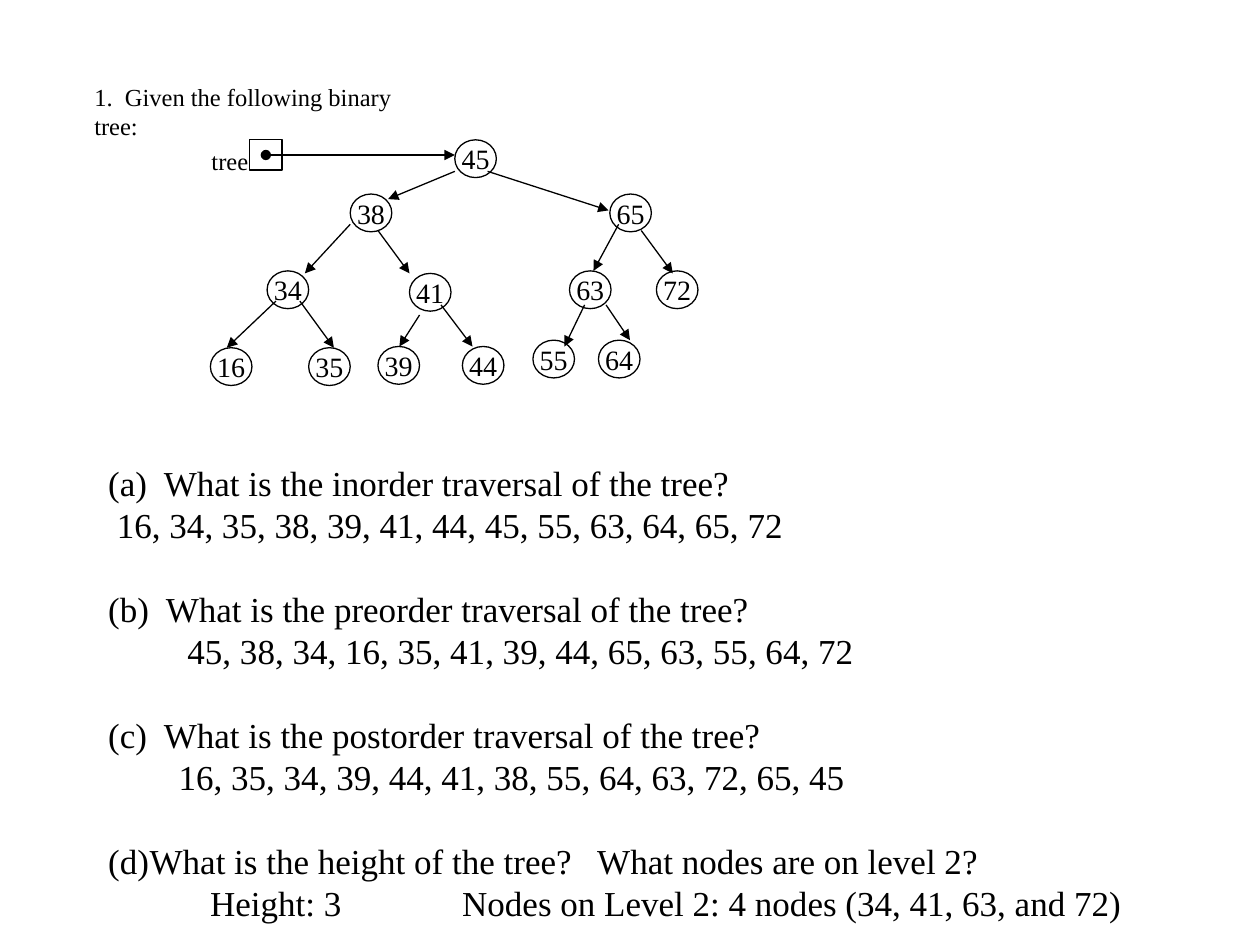
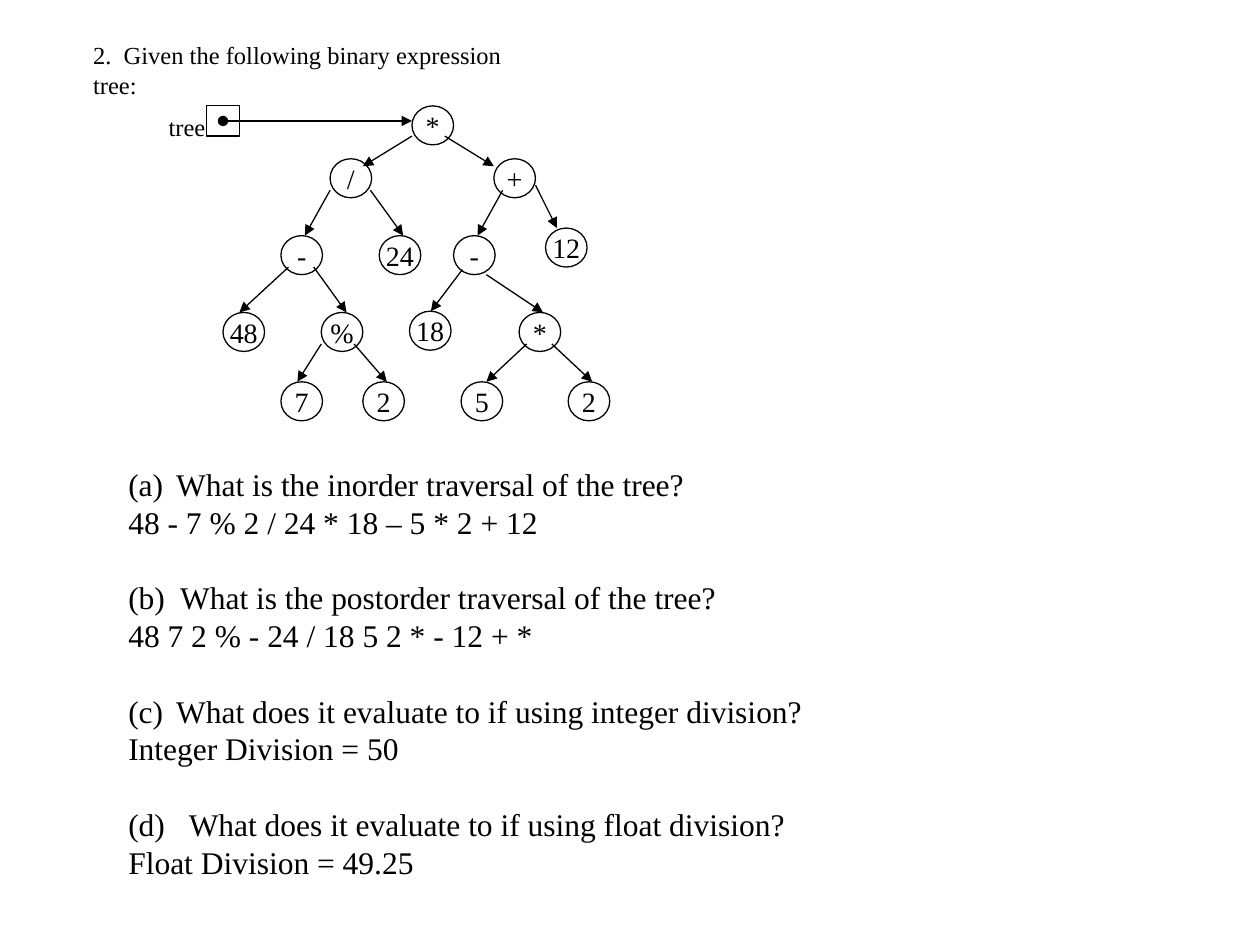
from pptx import Presentation
from pptx.dml.color import RGBColor
from pptx.enum.shapes import MSO_CONNECTOR, MSO_SHAPE
from pptx.enum.text import MSO_ANCHOR, PP_ALIGN
from pptx.oxml.ns import qn
from pptx.util import Pt
from lxml import etree

PX = 9144  # 100 px to the inch
INK = RGBColor(0, 0, 0)
FONT = "Times New Roman"
THIN = Pt(0.75)
LEAD = 1.2
LEFT, CENTER = PP_ALIGN.LEFT, PP_ALIGN.CENTER
TOP, MIDDLE = MSO_ANCHOR.TOP, MSO_ANCHOR.MIDDLE
OVAL, RECT = MSO_SHAPE.OVAL, MSO_SHAPE.RECTANGLE
LINE = MSO_CONNECTOR.STRAIGHT


def px(*vals):
    return [val * PX for val in vals]


def write(par, text, size=14, align=LEFT, left=0, hang=0, gap=0, num=0):
    """Fill a paragraph; gap counts lines above, num starts an (a) list."""
    run = par.add_run()
    run.text = text
    run.font.name = FONT
    run.font.size = Pt(size)
    run.font.color.rgb = INK
    par.alignment = align
    par.line_spacing = Pt(size * LEAD)
    par.space_before = Pt(size * LEAD * gap)
    props = par._p.get_or_add_pPr()
    props.set("marL", str((left + hang) * PX))
    props.set("indent", str(-hang * PX))
    if num:
        mark = etree.SubElement(props, qn("a:buAutoNum"))
        mark.set("type", "alphaLcParenBoth")
        mark.set("startAt", str(num))


def add_text(slide, box, rows, size=14, wrap=True):
    frame = slide.shapes.add_textbox(*px(*box)).text_frame
    frame.word_wrap = wrap
    frame.vertical_anchor = TOP
    for i, (text, form) in enumerate(rows):
        par = frame.add_paragraph() if i else frame.paragraphs[0]
        write(par, text, size=size, **form)


def add_form(slide, kind, box):
    """Add an outlined shape without fill."""
    shape = slide.shapes.add_shape(kind, *px(*box))
    shape.shadow.inherit = False
    shape.fill.background()
    shape.line.color.rgb = INK
    shape.line.width = THIN
    return shape


def add_node(slide, text, x, y, high):
    frame = add_form(slide, OVAL, (x, y, 33, high)).text_frame
    frame.word_wrap = False
    frame.vertical_anchor = MIDDLE
    write(frame.paragraphs[0], text, size=16, align=CENTER)


def add_arrow(slide, ends, dot=False):
    link = slide.shapes.add_connector(LINE, *px(*ends))
    link.line.color.rgb = INK
    link.line.width = THIN
    stroke = link.line._get_or_add_ln()
    if dot:
        etree.SubElement(stroke, qn("a:headEnd")).set("type", "oval")
    etree.SubElement(stroke, qn("a:tailEnd")).set("type", "triangle")
    etree.SubElement(link._element.spPr, qn("a:effectLst"))


def add_root(slide, x, y):
    """Add the labelled pointer box and its arrow to the root."""
    add_form(slide, RECT, (x, y, 26, 24))
    add_text(slide, (x - 40, y, 49, 33), [("tree", {})], wrap=False)
    add_arrow(slide, (x + 13, y + 12, x + 163, y + 12), dot=True)


def add_tree(slide, root, nodes, edges, high):
    for text, x, y in nodes:
        add_node(slide, text, x, y, high)
    for ends in edges:
        add_arrow(slide, ends)
    add_root(slide, *root)


SEARCH = {
    "root": (198, 111),
    "high": 30,
    "nodes": [
        ("45", 361, 111),
        ("38", 278, 154), ("65", 484, 154),
        ("34", 212, 215), ("41", 325, 217), ("63", 452, 215), ("72", 521, 215),
        ("16", 167, 276), ("35", 245, 276), ("39", 300, 275), ("44", 367, 275),
        ("55", 423, 270), ("64", 475, 270),
    ],
    "edges": [
        (361, 136, 308, 158), (387, 136, 483, 167),
        (278, 178, 242, 217), (300, 183, 325, 217),
        (491, 178, 471, 215), (509, 183, 534, 217),
        (219, 239, 180, 276), (238, 239, 265, 276),
        (333, 250, 317, 275), (350, 242, 375, 275),
        (464, 242, 448, 275), (481, 242, 500, 270),
    ],
}

MATH = {
    "root": (164, 84),
    "high": 31,
    "nodes": [
        ("*", 327, 84),
        ("/", 262, 126), ("+", 392, 126),
        ("-", 223, 187), ("24", 301, 187), ("-", 360, 187), ("12", 433, 181),
        ("48", 177, 248), ("%", 255, 248), ("18", 325, 247), ("*", 412, 248),
        ("7", 223, 303), ("2", 288, 303), ("5", 366, 303), ("2", 451, 303),
    ],
    "edges": [
        (327, 108, 288, 132), (353, 108, 392, 132),
        (262, 151, 242, 187), (294, 151, 320, 187),
        (399, 151, 379, 187), (425, 147, 442, 181),
        (229, 212, 190, 248), (249, 212, 275, 248),
        (367, 214, 342, 247), (386, 218, 431, 248),
        (255, 273, 236, 303), (281, 273, 307, 303),
        (418, 273, 386, 303), (438, 273, 470, 303),
    ],
}

SEARCH_ROWS = [
    ("(a)  What is the inorder traversal of the tree?", {}),
    ("16, 34, 35, 38, 39, 41, 44, 45, 55, 63, 64, 65, 72", {"left": 7}),
    ("(b)  What is the preorder traversal of the tree?", {"gap": 1}),
    ("45, 38, 34, 16, 35, 41, 39, 44, 65, 63, 55, 64, 72", {"left": 63}),
    ("(c)  What is the postorder traversal of the tree?", {"gap": 1}),
    ("16, 35, 34, 39, 44, 41, 38, 55, 64, 63, 72, 65, 45", {"left": 56}),
    ("What is the height of the tree?   What nodes are on level 2?",
     {"gap": 1, "hang": 33, "num": 4}),
    ("Height: 3\t\tNodes on Level 2: 4 nodes (34, 41, 63, and 72)",
     {"left": 81}),
]

MATH_ROWS = [
    ("What is the inorder traversal of the tree?", {"hang": 38, "num": 1}),
    ("48 - 7 % 2 / 24 * 18 – 5 * 2 + 12", {}),
    ("(b)  What is the postorder traversal of the tree?", {"gap": 1}),
    ("48 7 2 % - 24 / 18 5 2 * - 12 + *", {}),
    ("What does it evaluate to if using integer division?",
     {"gap": 1, "hang": 38, "num": 3}),
    ("Integer Division = 50", {}),
    ("What does it evaluate to if using float division?",
     {"gap": 1, "hang": 48, "num": 4}),
    ("Float Division = 49.25", {}),
]


def main():
    deck = Presentation()
    deck.slide_width, deck.slide_height = px(1000, 750)
    blank = deck.slide_layouts[6]

    slide = deck.slides.add_slide(blank)
    title = "1.  Given the following binary tree:"
    add_text(slide, (65, 60, 290, 33), [(title, {})])
    add_text(slide, (76, 361, 936, 380), SEARCH_ROWS, size=20)
    add_tree(slide, **SEARCH)

    slide = deck.slides.add_slide(blank)
    title = "2.  Given the following binary expression tree:"
    add_text(slide, (64, 27, 378, 33), [(title, {})])
    add_text(slide, (92, 364, 560, 404), MATH_ROWS, size=18)
    add_tree(slide, **MATH)

    deck.save("out.pptx")


if __name__ == "__main__":
    main()
